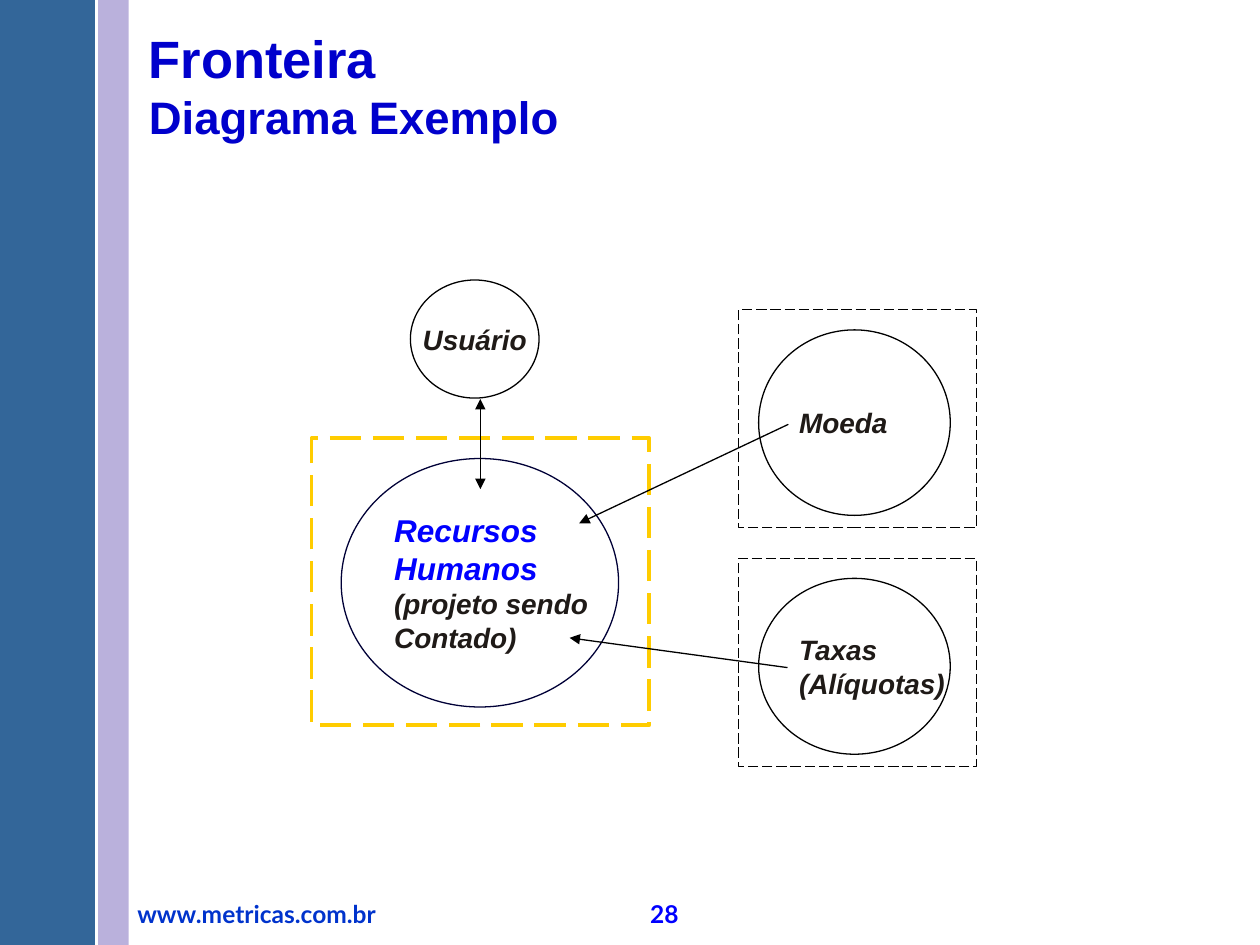
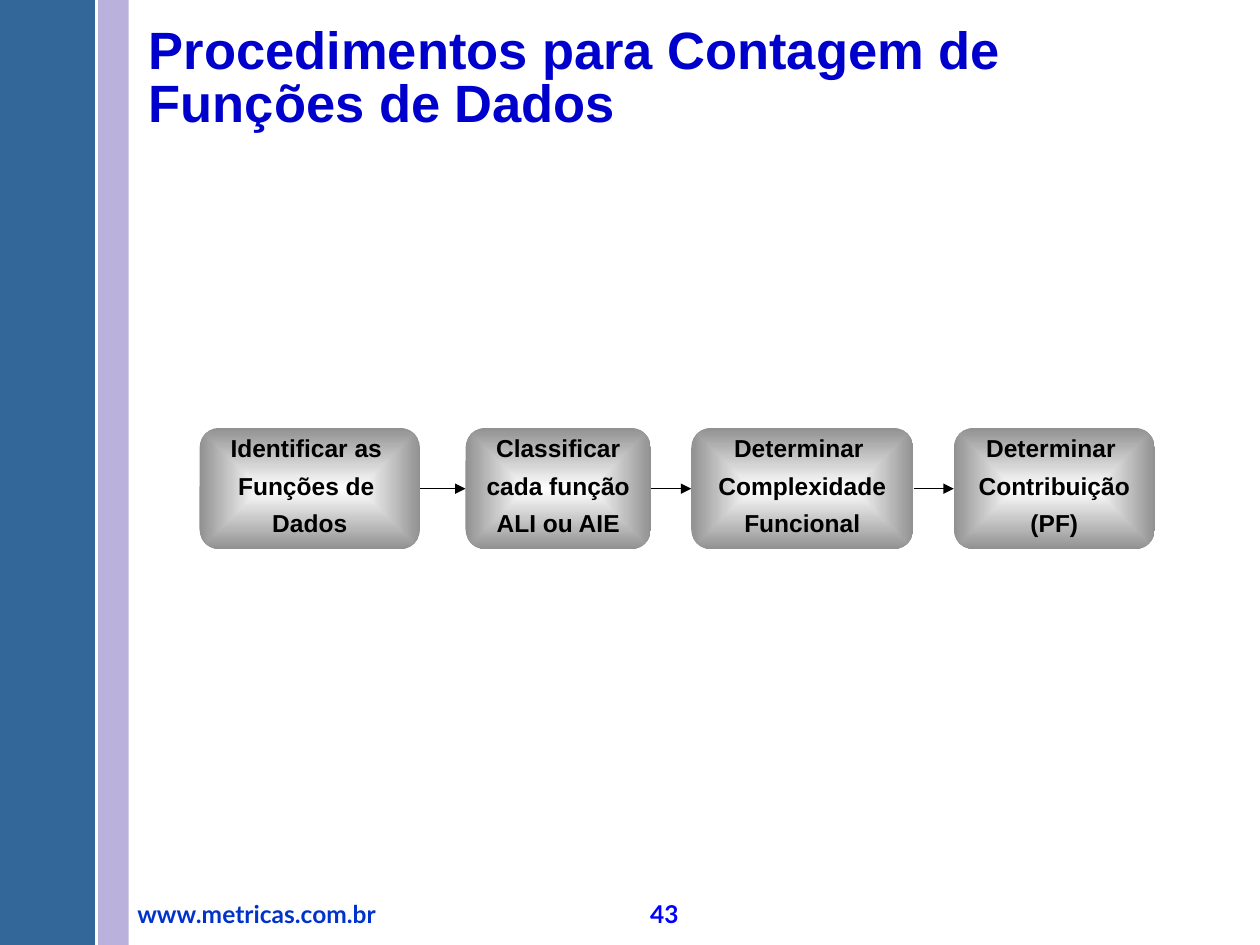
import pptx
import pptx.util
import pptx.dml.color
import pptx.enum.dml
import pptx.enum.shapes
import pptx.enum.text
import pptx.oxml
import pptx.oxml.ns

Pt = pptx.util.Pt
SHAPE = pptx.enum.shapes.MSO_SHAPE
ALIGN = pptx.enum.text.PP_ALIGN
ANCHOR = pptx.enum.text.MSO_ANCHOR
LONG_DASH = pptx.enum.dml.MSO_LINE.LONG_DASH

COLORS = {
    "band": "336699", "stripe": "7664BA", "title": "0000CC", "site": "0033CC",
    "blue": "0000FF", "black": "000000", "ink": "1F1A17", "navy": "000037",
    "boundary": "FFCC00", "white": "FFFFFF", "gray": "919191",
}

SITE = "www.metricas.com.br"

FRONTIER = {
    "page": "28",
    "title": [("Fronteira", 30), ("Diagrama Exemplo", 26)],
    "spacing": 1,
}
PROJECT = [("Recursos", 18, "blue"), ("Humanos", 18, "blue"),
           ("(projeto sendo", 16, "ink"), ("Contado)", 16, "ink")]
USER = ["Usuário"]
NEIGHBORS = [(["Moeda"], 177, 124.5), (["Taxas", "(Alíquotas)"], 319, 119)]
FLOWS = [
    ((450, 381.5), (325.5, 364.5), ["tail"]),
    ((450.5, 242.5), (331, 299), ["tail"]),
    ((274.5, 228), (274.5, 279.5), ["head", "tail"]),
]

PROCEDURE = {
    "page": "43",
    "title": [("Procedimentos para Contagem de ", 30), ("Funções de Dados", 30)],
    "spacing": 0.85,
}
STEPS = [
    (["Identificar as ", "Funções de ", "Dados"], 114, 126),
    (["Classificar", "cada função", "ALI ou AIE"], 266, 106),
    (["Determinar ", "Complexidade", "Funcional"], 395, 127),
    (["Determinar ", "Contribuição", "(PF)"], 545, 115),
]
STEP_TOP, STEP_HEIGHT = 244.5, 69.5


def rgb(color):
    return pptx.dml.color.RGBColor.from_string(COLORS[color])


def write(box, lines, size=16, color="ink", font="Arial", italic=False, align=ALIGN.LEFT,
          anchor=ANCHOR.TOP, spacing=1, before=0, wrap=True, side=7.2):
    frame = box.text_frame
    frame.word_wrap = wrap
    frame.vertical_anchor = anchor
    frame.margin_left = frame.margin_right = Pt(side)
    frame.margin_top = frame.margin_bottom = Pt(3.6)
    for index, line in enumerate(lines):
        text, *own = (line,) if isinstance(line, str) else line
        line_size, line_color = (own + [size, color][len(own):])
        paragraph = frame.paragraphs[0] if index == 0 else frame.add_paragraph()
        paragraph.alignment = align
        paragraph.line_spacing = spacing
        paragraph.space_before = Pt(before if index else 0)
        run = paragraph.add_run()
        run.text = text
        run.font.name = font
        run.font.size = Pt(line_size)
        run.font.bold = True
        run.font.italic = italic
        run.font.color.rgb = rgb(line_color)


def add_text(slide, place, lines, **style):
    write(slide.shapes.add_textbox(*map(Pt, place)), lines, **style)


def add_shape(slide, kind, place, fill=None, line=None, width=0.75, dash=None):
    shape = slide.shapes.add_shape(kind, *map(Pt, place))
    shape.shadow.inherit = False
    if fill:
        shape.fill.solid()
        shape.fill.fore_color.rgb = rgb(fill)
    else:
        shape.fill.background()
    if line:
        shape.line.color.rgb = rgb(line)
        shape.line.width = Pt(width)
        shape.line.dash_style = dash
    else:
        shape.line.fill.background()
    return shape


def add_arrow(slide, start, end, heads):
    arrow = slide.shapes.add_connector(
        pptx.enum.shapes.MSO_CONNECTOR.STRAIGHT, *map(Pt, (*start, *end)))
    arrow.line.color.rgb = rgb("black")
    arrow.line.width = Pt(0.75)
    line = arrow.line._get_or_add_ln()
    for head in heads:
        line.append(pptx.oxml.parse_xml(
            f'<a:{head}End {pptx.oxml.ns.nsdecls("a")} type="triangle"/>'))
    arrow._element.spPr.append(pptx.oxml.parse_xml(
        f'<a:effectLst {pptx.oxml.ns.nsdecls("a")}/>'))
    return arrow


def fade_from_center(shape):
    shape.fill.gradient()
    for stop, color in zip(shape.fill.gradient_stops, ("white", "gray")):
        stop.color.rgb = rgb(color)
    direction = shape._element.spPr.find(".//" + pptx.oxml.ns.qn("a:lin"))
    direction.getparent().replace(direction, pptx.oxml.parse_xml(
        f'<a:path {pptx.oxml.ns.nsdecls("a")} path="rect">'
        '<a:fillToRect l="50000" t="50000" r="50000" b="50000"/></a:path>'))


def add_slide(deck, content):
    slide = deck.slides.add_slide(deck.slide_layouts[6])
    stripe = add_shape(slide, SHAPE.RECTANGLE, (56, 0, 17.5, 540), fill="stripe")
    tint = stripe._element.spPr.find(".//" + pptx.oxml.ns.qn("a:srgbClr"))
    tint.append(pptx.oxml.parse_xml(
        f'<a:alpha {pptx.oxml.ns.nsdecls("a")} val="50000"/>'))
    add_shape(slide, SHAPE.RECTANGLE, (0, 0, 54, 540), fill="band", line="band")
    add_text(slide, (78.5, 514.8, 155, 19.5), [SITE], size=14, color="site",
             font="Lato", spacing=0.7, side=0)
    add_text(slide, (371.5, 510, 72, 26.5), [content["page"]], size=14, color="blue",
             font="Lato", side=0)
    add_text(slide, (78, 11.5, 618, 90), content["title"], color="title",
             spacing=content["spacing"])
    return slide


def draw_frontier(slide):
    label = dict(italic=True, anchor=ANCHOR.MIDDLE, wrap=False)
    add_shape(slide, SHAPE.RECTANGLE, (178, 250.5, 193, 164),
              line="boundary", width=2.25, dash=LONG_DASH)
    project = add_shape(slide, SHAPE.OVAL, (195, 262, 158.5, 142), line="navy")
    write(project, PROJECT, **label)
    for name, top, height in NEIGHBORS:
        add_shape(slide, SHAPE.RECTANGLE, (422, top, 136, height),
                  line="black", dash=LONG_DASH)
        system = add_shape(slide, SHAPE.OVAL, (433.5, top + 11.5, 109.5, height - 18.5),
                           line="black")
        write(system, name, **label)
    user = add_shape(slide, SHAPE.OVAL, (234.5, 160, 73.5, 67.5), line="black")
    write(user, USER, align=ALIGN.CENTER, **label)
    for start, end, heads in FLOWS:
        add_arrow(slide, start, end, heads)


def draw_procedure(slide):
    steps = []
    for lines, left, width in STEPS:
        step = add_shape(slide, SHAPE.ROUNDED_RECTANGLE,
                         (left, STEP_TOP, width, STEP_HEIGHT))
        fade_from_center(step)
        write(step, lines, size=14, color="black", align=ALIGN.CENTER,
              anchor=ANCHOR.MIDDLE, spacing=0.75, before=8.8)
        steps.append(step)
    for step, following in zip(steps, steps[1:]):
        arrow = add_arrow(slide, (0, 0), (0, 0), ["tail"])
        arrow.begin_connect(step, 3)
        arrow.end_connect(following, 1)


def main():
    deck = pptx.Presentation()
    deck.slide_width, deck.slide_height = Pt(720), Pt(540)
    draw_frontier(add_slide(deck, FRONTIER))
    draw_procedure(add_slide(deck, PROCEDURE))
    deck.save("out.pptx")


if __name__ == "__main__":
    main()
